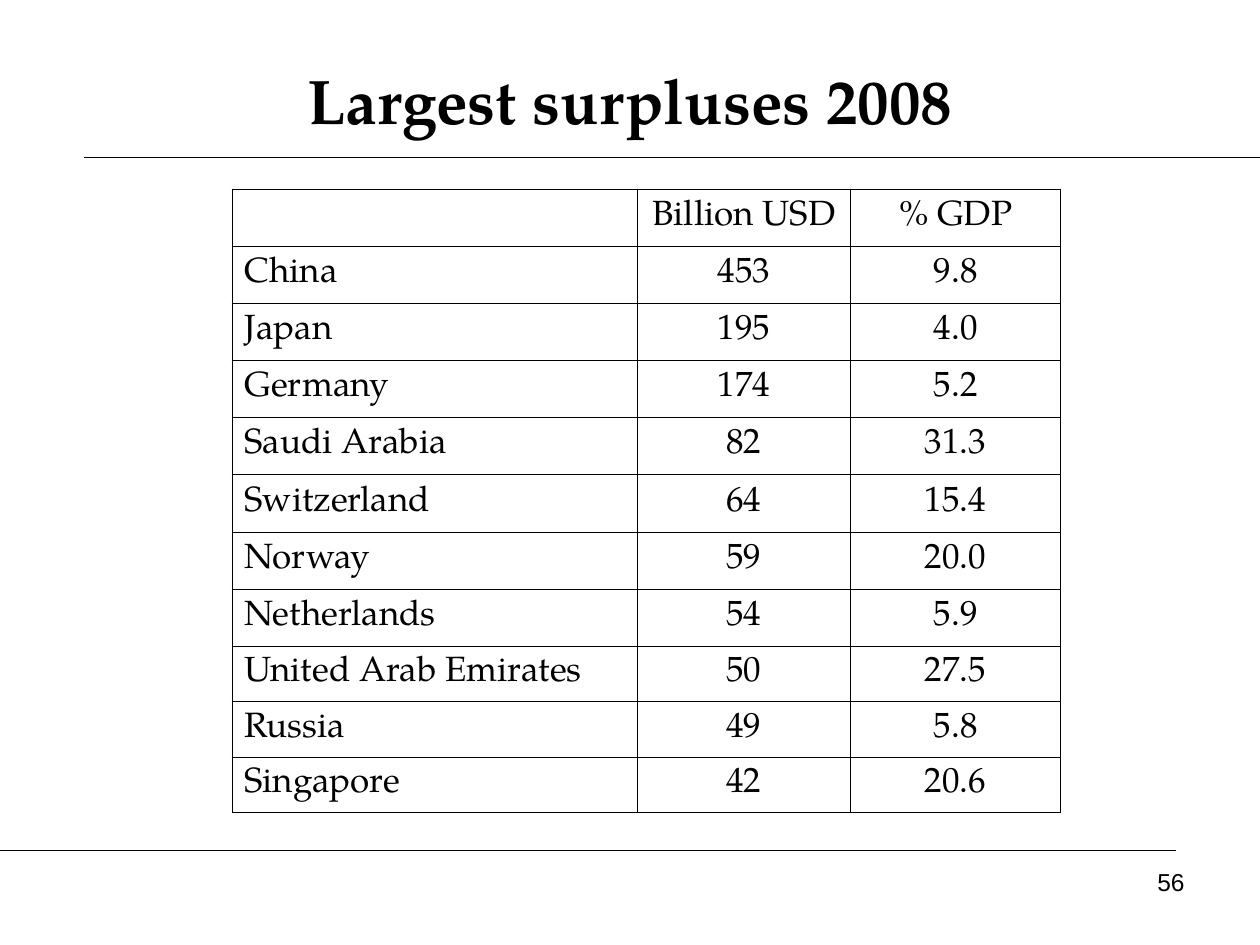
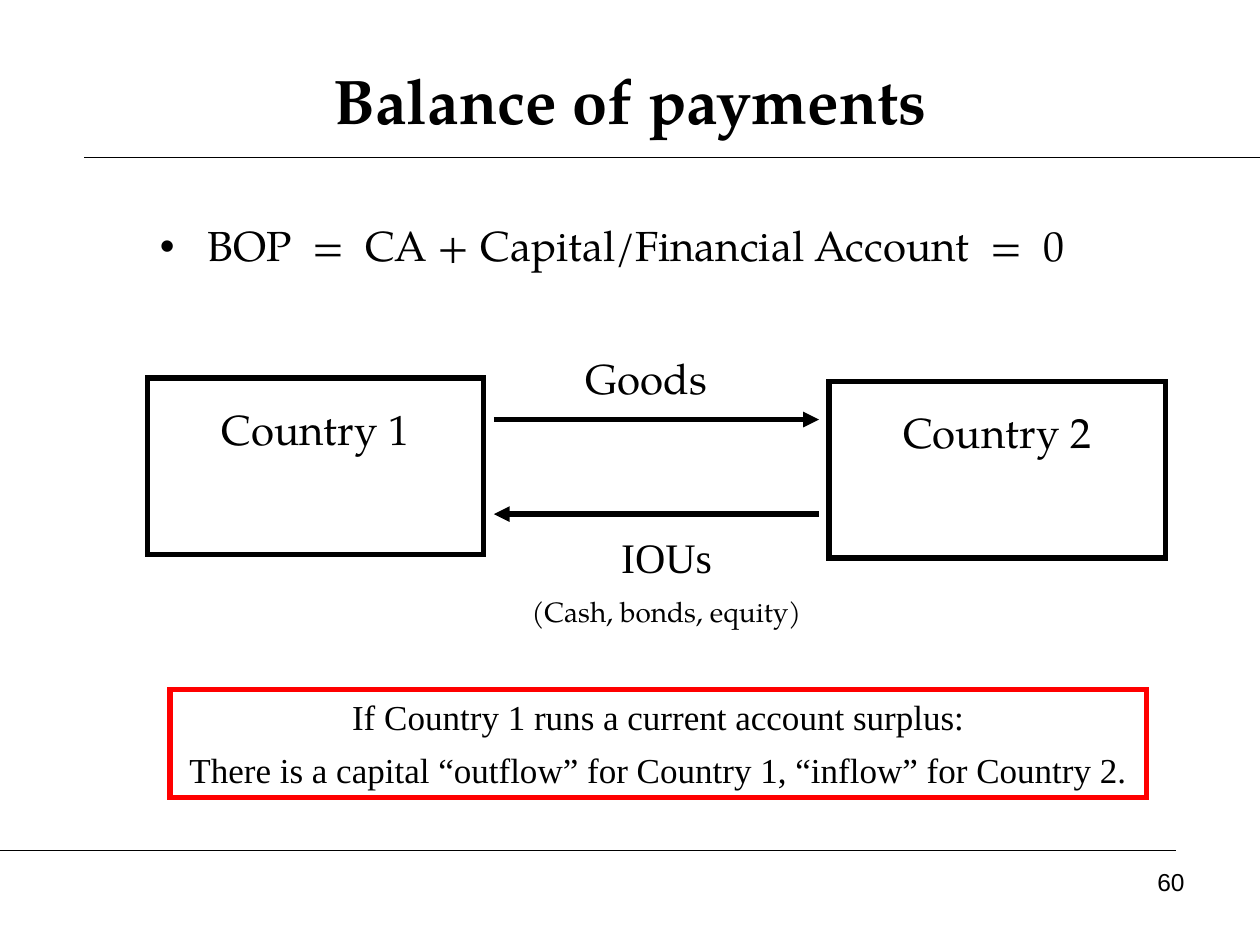
from lxml import etree
from pptx import Presentation
from pptx import util as u
from pptx.dml import color
from pptx.enum import shapes, text
from pptx.oxml import ns

SERIF, TIMES, SANS = "TeX Gyre Pagella", "Times New Roman", "Arial"
BLACK, RED = "000000", "FF0000"
LEFT, CENTER, RIGHT = text.PP_ALIGN.LEFT, text.PP_ALIGN.CENTER, text.PP_ALIGN.RIGHT
TOP, MIDDLE = text.MSO_ANCHOR.TOP, text.MSO_ANCHOR.MIDDLE

SURPLUSES = [
    ("", "Billion USD", "% GDP"),
    ("China", "453", "9.8"),
    ("Japan", "195", "4.0"),
    ("Germany", "174", "5.2"),
    ("Saudi Arabia", "82", "31.3"),
    ("Switzerland", "64", "15.4"),
    ("Norway", "59", "20.0"),
    ("Netherlands", "54", "5.9"),
    ("United Arab Emirates", "50", "27.5"),
    ("Russia", "49", "5.8"),
    ("Singapore", "42", "20.6"),
]
COLUMN_WIDTHS = [3.22, 1.69, 1.67]
ROW_HEIGHTS = [3.63 / 8] * 8 + [0.44] * 3


def rgb(hex_code):
    """Turn a hex string into a colour."""
    return color.RGBColor.from_string(hex_code)


def add_child(parent, tag, **attributes):
    """Append a drawing element with the given attributes."""
    return etree.SubElement(parent, ns.qn(tag), attributes)


def add_run(paragraph, words, size, font=SERIF, bold=False, tracking=0):
    """Append a black run, with optional letter spacing in points."""
    run = paragraph.add_run()
    run.text = words
    run.font.size, run.font.name, run.font.bold = u.Pt(size), font, bold
    run.font.color.rgb = rgb(BLACK)
    if tracking:
        run.font._element.set("spc", str(tracking * 100))


def set_frame(frame, anchor=TOP, inset=0.05):
    """Make a frame wrap, with the given anchor and upper inset."""
    frame.word_wrap, frame.vertical_anchor = True, anchor
    frame.margin_top = u.Inches(inset)


def add_text(frame, lines, align=CENTER, gap=0):
    """Write (words, size, font) lines with a gap in points between them."""
    for index, (words, size, font) in enumerate(lines):
        paragraph = frame.add_paragraph() if index else frame.paragraphs[0]
        paragraph.alignment = align
        if index:
            paragraph.space_before = u.Pt(gap)
        add_run(paragraph, words, size, font)


def add_label(slide, box, anchor=TOP):
    """Add an empty text box and return its frame."""
    frame = slide.shapes.add_textbox(*map(u.Inches, box)).text_frame
    set_frame(frame, anchor)
    return frame


def add_box(slide, box, outline, inset):
    """Add an unfilled rectangle with a thick, sharp outline and return its frame."""
    rectangle = slide.shapes.add_shape(
        shapes.MSO_SHAPE.RECTANGLE, *map(u.Inches, box))
    rectangle.shadow.inherit = False
    rectangle.fill.background()
    rectangle.line.color.rgb = rgb(outline)
    rectangle.line.width = u.Pt(3)
    add_child(rectangle._element.spPr.find(ns.qn("a:ln")), "a:miter", lim="800000")
    set_frame(rectangle.text_frame, inset=inset)
    return rectangle.text_frame


def add_line(slide, start, end, y, width=0.75, arrow=False):
    """Draw a horizontal black line, with an arrowhead at its end on request."""
    line = slide.shapes.add_connector(
        shapes.MSO_CONNECTOR.STRAIGHT, *map(u.Inches, (start, y, end, y)))
    line.line.color.rgb = rgb(BLACK)
    line.line.width = u.Pt(width)
    properties = line._element.spPr
    if arrow:
        add_child(properties.find(ns.qn("a:ln")), "a:tailEnd", type="triangle")
    add_child(properties, "a:effectLst")


def add_slide(deck, title, number):
    """Add a slide with its title, two rules and page number."""
    slide = deck.slides.add_slide(deck.slide_layouts[6])
    add_line(slide, 0.67, 10, 1.25)
    add_line(slide, 0, 9.33, 6.75)
    heading = add_label(slide, (0.5, 0.33, 9, 0.92), MIDDLE).paragraphs[0]
    heading.alignment = CENTER
    add_run(heading, title, 36, bold=True)
    footer = add_label(slide, (7.17, 6.83, 2.33, 0.52))
    add_text(footer, [(number, 14, SANS)], RIGHT)
    return slide


def style_cell(cell):
    """Give a cell thin black borders and no fill."""
    properties = cell._tc.get_or_add_tcPr()
    for side in ("a:lnL", "a:lnR", "a:lnT", "a:lnB"):
        border = add_child(properties, side, w=str(u.Pt(0.45)))
        add_child(add_child(border, "a:solidFill"), "a:srgbClr", val=BLACK)
    cell.fill.background()
    cell.vertical_anchor = MIDDLE


def add_grid(slide, left, top, rows):
    """Add the bordered table, with names at left and figures centred."""
    size = sum(COLUMN_WIDTHS), sum(ROW_HEIGHTS)
    table = slide.shapes.add_table(
        len(rows), len(COLUMN_WIDTHS), *map(u.Inches, (left, top, *size))).table
    table.first_row = table.horz_banding = False
    for column, width in zip(table.columns, COLUMN_WIDTHS):
        column.width = u.Inches(width)
    for r, (values, height) in enumerate(zip(rows, ROW_HEIGHTS)):
        table.rows[r].height = u.Inches(height)
        for c, value in enumerate(values):
            cell = table.cell(r, c)
            style_cell(cell)
            if value:
                add_text(cell.text_frame, [(value, 20, SERIF)],
                         CENTER if c else LEFT)


def add_identity(slide):
    """Write the bulleted balance of payments identity."""
    identity = add_label(slide, (1.17, 1.74, 7.92, 0.59)).paragraphs[0]
    identity.line_spacing = 0.9
    properties = identity._p.get_or_add_pPr()
    properties.set("marL", str(u.Inches(0.38)))
    properties.set("indent", str(u.Inches(-0.38)))
    add_child(properties, "a:buFont", typeface=SANS)
    add_child(properties, "a:buChar", char="•")
    terms = ["BOP", "=", "CA + Capital/Financial Account", "=", "0"]
    for index, term in enumerate(terms):
        if index:
            add_run(identity, " ", 24, tracking=6)
        add_run(identity, term, 24)


def add_flows(slide):
    """Draw the two countries and the flows between them."""
    for name, left, top in (("Country 1", 1.17, 3), ("Country 2", 6.58, 3.03)):
        country = add_box(slide, (left, top, 2.67, 1.4), BLACK, 0.2)
        add_text(country, [(name, 24, SERIF)])
    add_line(slide, 3.92, 6.5, 3.33, 3, arrow=True)
    add_line(slide, 6.5, 3.92, 4.08, 3, arrow=True)
    goods = add_label(slide, (4.5, 2.75, 1.26, 0.5))
    add_text(goods, [("Goods", 24, SERIF)])
    claims = add_label(slide, (4.08, 4.17, 2.42, 0.9))
    add_text(claims, [("IOUs", 24, TIMES),
                      ("(Cash, bonds, equity)", 16, SERIF)], gap=7)


def add_conclusion(slide):
    """Add the red box that sums up the flows."""
    conclusion = add_box(slide, (1.35, 5.47, 7.75, 0.86), RED, 0.05)
    add_text(conclusion, [
        ("If Country 1 runs a current account surplus:", 20, TIMES),
        ("There is a capital “outflow” for Country 1, “inflow” for Country 2.",
         20, TIMES)], gap=6.2)


def main():
    """Build both slides and save the deck."""
    deck = Presentation()
    deck.slide_width, deck.slide_height = u.Inches(10), u.Inches(7.5)
    surpluses = add_slide(deck, "Largest surpluses 2008", "56")
    add_grid(surpluses, 1.84, 1.5, SURPLUSES)
    balance = add_slide(deck, "Balance of payments", "60")
    add_line(balance, 1.25, 10, 1.25)
    add_line(balance, 0, 7.08, 6.75)
    add_identity(balance)
    add_flows(balance)
    add_conclusion(balance)
    deck.save("out.pptx")


if __name__ == "__main__":
    main()
